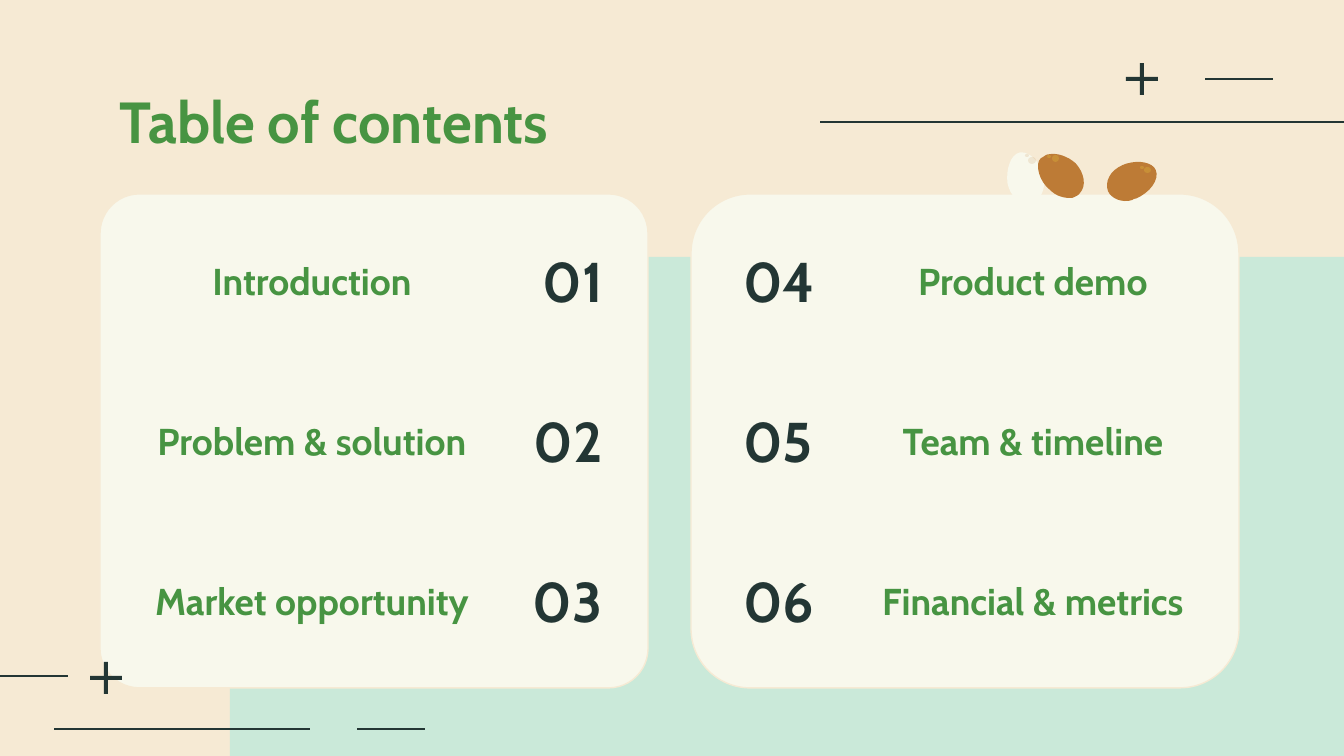
from lxml import etree
from pptx import Presentation
from pptx.dml.color import RGBColor
from pptx.enum.shapes import MSO_CONNECTOR, MSO_SHAPE
from pptx.enum.text import MSO_ANCHOR, MSO_AUTO_SIZE, PP_ALIGN
from pptx.oxml.ns import qn
from pptx.util import Inches, Pt

STRAIGHT = MSO_CONNECTOR.STRAIGHT
RECTANGLE, ROUNDED, OVAL = MSO_SHAPE.RECTANGLE, MSO_SHAPE.ROUNDED_RECTANGLE, MSO_SHAPE.OVAL
ONE_ROUNDED = MSO_SHAPE.ROUND_1_RECTANGLE
LEFT, CENTER, RIGHT = PP_ALIGN.LEFT, PP_ALIGN.CENTER, PP_ALIGN.RIGHT
MIDDLE, NO_FIT = MSO_ANCHOR.MIDDLE, MSO_AUTO_SIZE.NONE
PX = 914400 / 134.4
SAND, MINT, CREAM = "F6EAD4", "CAE9D9", "F8F8EC"
GREEN, DARK, BROWN, YELLOW = "479442", "233634", "BD7B36", "FAEA3F"
color = RGBColor.from_string


def paint(shape, fill):
    shape.fill.solid()
    shape.fill.fore_color.rgb = color(fill)
    shape.line.fill.background()
    shape.shadow.inherit = False


def write(shape, box, text, size, ink, align):
    shape.left, shape.top, shape.width, shape.height = [round(v * PX) for v in box]
    frame = shape.text_frame
    frame.text = text
    frame.word_wrap = True
    frame.auto_size = NO_FIT
    frame.vertical_anchor = MIDDLE
    frame.margin_left = frame.margin_right = Inches(0.1)
    frame.margin_top = frame.margin_bottom = Inches(0.1)
    paragraph = frame.paragraphs[0]
    paragraph.alignment = align
    font = paragraph.runs[0].font
    font.name, font.size, font.bold = "Cabin", Pt(size), True
    font.color.rgb = color(ink)


deck = Presentation()
deck.slide_width, deck.slide_height = round(1344 * PX), round(756 * PX)
slide = deck.slides.add_slide(deck.slide_layouts[5])
slide.background.fill.solid()
slide.background.fill.fore_color.rgb = color(SAND)
shapes = slide.shapes

mint_panel = shapes.add_shape(ONE_ROUNDED, *[round(v * PX) for v in (230, 257, 1114, 499)])
mint_panel.adjustments[0] = 0.31
mint_panel._element.spPr.find(qn("a:xfrm")).set("flipH", "1")
paint(mint_panel, MINT)

for card_x, radius in ((100, 0.08), (691, 0.12)):
    card = shapes.add_shape(ROUNDED, *[round(v * PX) for v in (card_x, 194, 548, 494)])
    card.adjustments[0] = radius
    paint(card, CREAM)
    card.line.color.rgb = color(SAND)
    card.line.width = Pt(0.75)

write(shapes.title, (106, 79, 1133, 83), "Table of contents", 31, GREEN, LEFT)

topics = ["Introduction", "Problem & solution", "Market opportunity",
          "Product demo", "Team & timeline", "Financial & metrics"]
columns = [(140, 503, RIGHT), (861, 730, LEFT)]
for index, topic in enumerate(topics):
    topic_x, number_x, number_align = columns[index // 3]
    offset = index % 3 * 160
    write(shapes.add_textbox(0, 0, 0, 0), (topic_x, 242 + offset, 344, 78),
          topic, 20, GREEN, CENTER)
    write(shapes.add_textbox(0, 0, 0, 0), (number_x, 237 + offset, 113, 87),
          f"{index + 1:02}", 30, DARK, number_align)

rules = [(1273, 1205, 79), (425, 357, 729), (68, 0, 676), (1344, 820, 122), (310, 54, 729)]
for start_x, end_x, y in rules:
    rule = shapes.add_connector(STRAIGHT, *[round(v * PX) for v in (start_x, y, end_x, y)])
    rule.line.color.rgb = color(DARK)
    rule.line.width = Pt(0.75)
    etree.SubElement(rule._element.spPr, qn("a:effectLst"))

for plus_x, plus_y in ((1126, 63), (90, 662)):
    for bar_box in ((plus_x, plus_y + 14, 32, 4), (plus_x + 14, plus_y, 4, 32)):
        paint(shapes.add_shape(RECTANGLE, *[round(v * PX) for v in bar_box]), DARK)

beans = [
    (CREAM, (1023, 152), [(1013, 153, 1007, 168, 1007, 181), (1008, 194, 1016, 204, 1027, 203),
                          (1038, 203, 1044, 192, 1044, 179), (1043, 167, 1034, 152, 1023, 152)],
     BROWN, 14, [(1028, 157, 8, 7), (1025, 154, 4, 3)]),
    (BROWN, (1051, 153), [(1048, 153, 1046, 155, 1043, 156), (1036, 161, 1039, 179, 1048, 188),
                          (1054, 196, 1063, 199, 1070, 199), (1073, 198, 1075, 198, 1078, 195),
                          (1085, 189, 1085, 176, 1077, 165), (1070, 157, 1059, 152, 1051, 153)],
     YELLOW, 18, [(1052, 155, 7, 7), (1047, 155, 4, 3)]),
    (BROWN, (1130, 163), [(1128, 163, 1126, 164, 1125, 164), (1111, 168, 1105, 179, 1107, 188),
                          (1109, 196, 1120, 202, 1130, 200), (1132, 199, 1133, 199, 1134, 199),
                          (1148, 195, 1160, 183, 1157, 173), (1155, 165, 1141, 161, 1130, 163)],
     YELLOW, 18, [(1144, 167, 7, 6), (1140, 166, 4, 3)]),
]
for fill, start, curves, glint_fill, opacity, glints in beans:
    outline = []
    x0, y0 = start
    for x1, y1, x2, y2, x3, y3 in curves:
        for step in range(1, 9):
            t = step / 8
            weights = ((1 - t) ** 3, 3 * t * (1 - t) ** 2, 3 * t * t * (1 - t), t ** 3)
            outline.append((sum(w * x for w, x in zip(weights, (x0, x1, x2, x3))) * PX,
                            sum(w * y for w, y in zip(weights, (y0, y1, y2, y3))) * PX))
        x0, y0 = x3, y3
    builder = shapes.build_freeform(start[0] * PX, start[1] * PX)
    builder.add_line_segments(outline, close=True)
    bean = builder.convert_to_shape()
    bean.rotation = 353.2
    paint(bean, fill)
    for glint_box in glints:
        glint = shapes.add_shape(OVAL, *[round(v * PX) for v in glint_box])
        paint(glint, glint_fill)
        tint = glint._element.spPr.find(qn("a:solidFill"))[0]
        etree.SubElement(tint, qn("a:alpha"), val=str(opacity * 1000))

deck.save("out.pptx")
